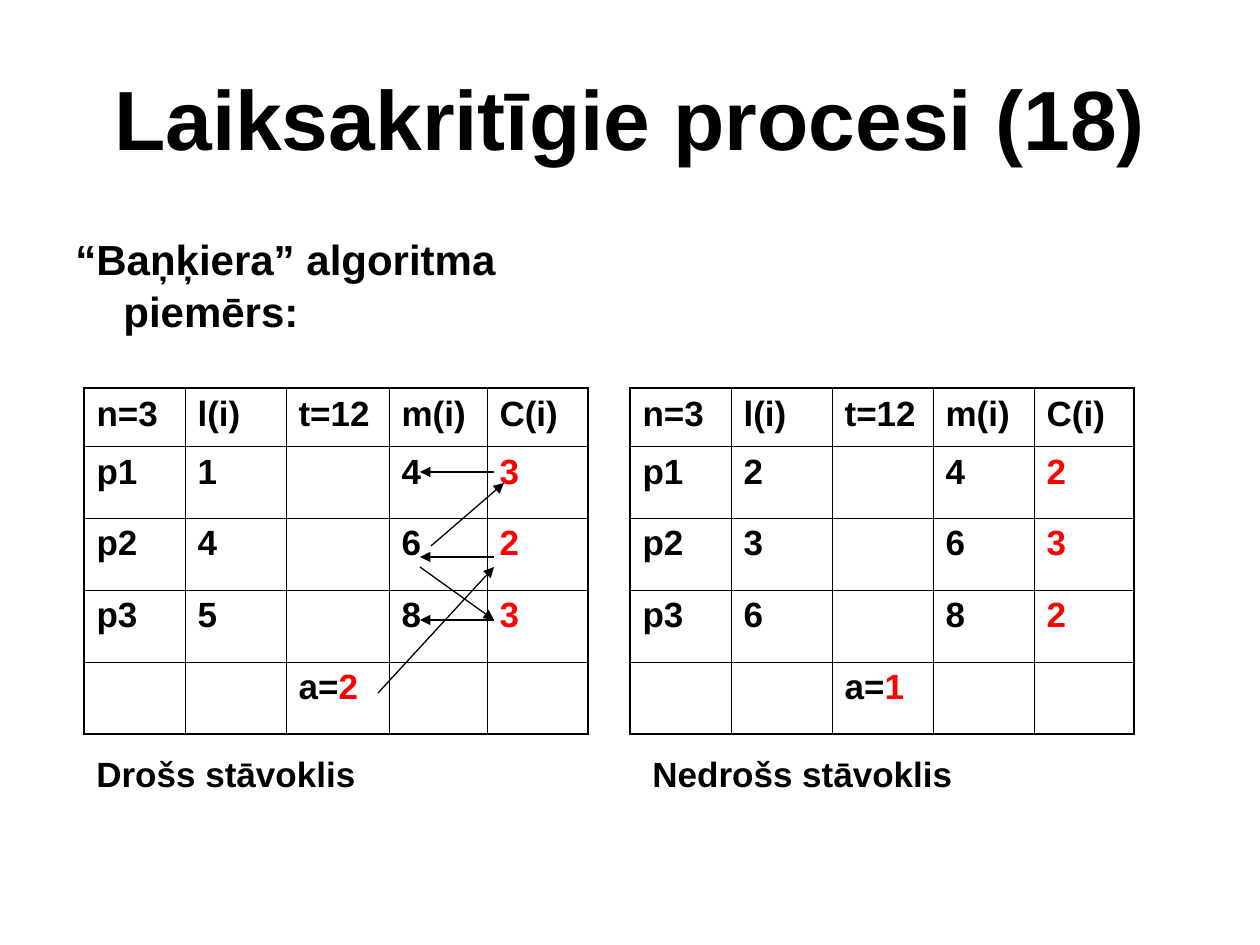
from lxml import etree
from pptx import Presentation
from pptx import util as u
from pptx.dml.color import RGBColor
from pptx.enum import shapes, text
from pptx.oxml import ns

SCALE = 914400 / 126  # EMU per px
HUES = {"ink": "000000", "mark": "FF0000"}
HEAD = ["n=3", "l(i)", "t=12", "m(i)", "C(i)"]
ROWS = [58, 72, 72, 72, 72]


def px(*vals):
    return [u.Emu(round(v * SCALE)) for v in vals]


def hue(name):
    return RGBColor.from_string(HUES[name])


def style(font, size, tint="ink"):
    font.name = "Arial"
    font.size = u.Pt(size)
    font.bold = True
    font.color.rgb = hue(tint)


def add_sub(parent, tag, **attrs):
    return etree.SubElement(parent, ns.qn(tag), attrs)


def add_title(slide, words):
    title = slide.shapes.title
    title.left, title.top, title.width, title.height = px(63, 38, 1134, 157)
    frame = title.text_frame
    frame.text = words
    frame.vertical_anchor = text.MSO_ANCHOR.MIDDLE
    para = frame.paragraphs[0]
    para.alignment = text.PP_ALIGN.CENTER
    style(para.font, 48)


def add_text(slide, box, words, size):
    frame = slide.shapes.add_textbox(*px(*box)).text_frame
    frame.word_wrap = True
    para = frame.paragraphs[0]
    para.text = words
    style(para.font, size)
    return para


def add_lead(slide):
    para = add_text(slide, (63, 220, 557, 624), "“Baņķiera” algoritma", 24)
    # Hanging indent, with a larger space between the two parts
    props = para._p.get_or_add_pPr()
    indent = px(48)[0]
    props.set("marL", str(indent))
    props.set("indent", str(-indent))
    for words, size in ((" ", 28), ("piemērs:", 24)):
        run = para.add_run()
        run.text = words
        run.font.size = u.Pt(size)


def set_edges(cell, row, col, last):
    props = cell._tc.get_or_add_tcPr()
    outer = {"L": col == 0, "R": col == last, "T": row == 0, "B": row == last}
    for side, thick in outer.items():
        width = u.Pt(1.08 if thick else 0.45)
        line = add_sub(props, f"a:ln{side}", w=str(width))
        fill = add_sub(line, "a:solidFill")
        add_sub(fill, "a:srgbClr", val=HUES["ink"])


def add_grid(slide, left, cols, used, need, free):
    # Rows: process, allocated, blank, maximum, still needed
    body = [[f"p{i + 1}", used[i], "", most, need[i]]
            for i, most in enumerate((4, 6, 8))]
    data = [HEAD, *body, ["", "", "a=", "", ""]]
    size = len(data)
    box = px(left, 388, sum(cols), sum(ROWS))
    grid = slide.shapes.add_table(size, size, *box).table
    grid.first_row = grid.horz_banding = False
    for col, wide in zip(grid.columns, px(*cols)):
        col.width = wide
    for row, tall in zip(grid.rows, px(*ROWS)):
        row.height = tall
    for r, vals in enumerate(data):
        for c, val in enumerate(vals):
            cell = grid.cell(r, c)
            set_edges(cell, r, c, size - 1)
            cell.fill.background()
            para = cell.text_frame.paragraphs[0]
            if val != "":
                para.text = str(val)
            style(para.font, 20, "mark" if c == 4 and r else "ink")
    # Free units
    run = grid.cell(size - 1, 2).text_frame.paragraphs[0].add_run()
    run.text = str(free)
    run.font.color.rgb = hue("mark")


def add_arrow(slide, ends):
    link = slide.shapes.add_connector(shapes.MSO_CONNECTOR.STRAIGHT, *px(*ends))
    link.line.color.rgb = hue("ink")
    link.line.width = u.Pt(0.75)
    add_sub(link.line._get_or_add_ln(), "a:tailEnd", type="triangle")
    add_sub(link._element.spPr, "a:effectLst")


def main():
    deck = Presentation()
    deck.slide_width, deck.slide_height = px(1260, 945)
    slide = deck.slides.add_slide(deck.slide_layouts[5])

    add_title(slide, "Laiksakritīgie procesi (18)")
    add_lead(slide)

    # Unsafe and safe states
    add_grid(slide, 630, [101, 101, 101, 101, 100], (2, 3, 6), (2, 3, 2), 1)
    add_grid(slide, 84, [101, 101, 103, 98, 101], (1, 4, 5), (3, 2, 3), 2)

    # Order in which the processes can finish
    for ends in ((378, 693, 494, 567), (494, 557, 420, 557),
                 (431, 546, 504, 483), (494, 472, 420, 472),
                 (420, 567, 494, 620), (494, 620, 420, 620)):
        add_arrow(slide, ends)

    # Captions
    add_text(slide, (84, 746, 504, 55), "Drošs stāvoklis", 20)
    add_text(slide, (640, 746, 494, 55), "Nedrošs stāvoklis", 20)
    deck.save("out.pptx")


if __name__ == "__main__":
    main()
